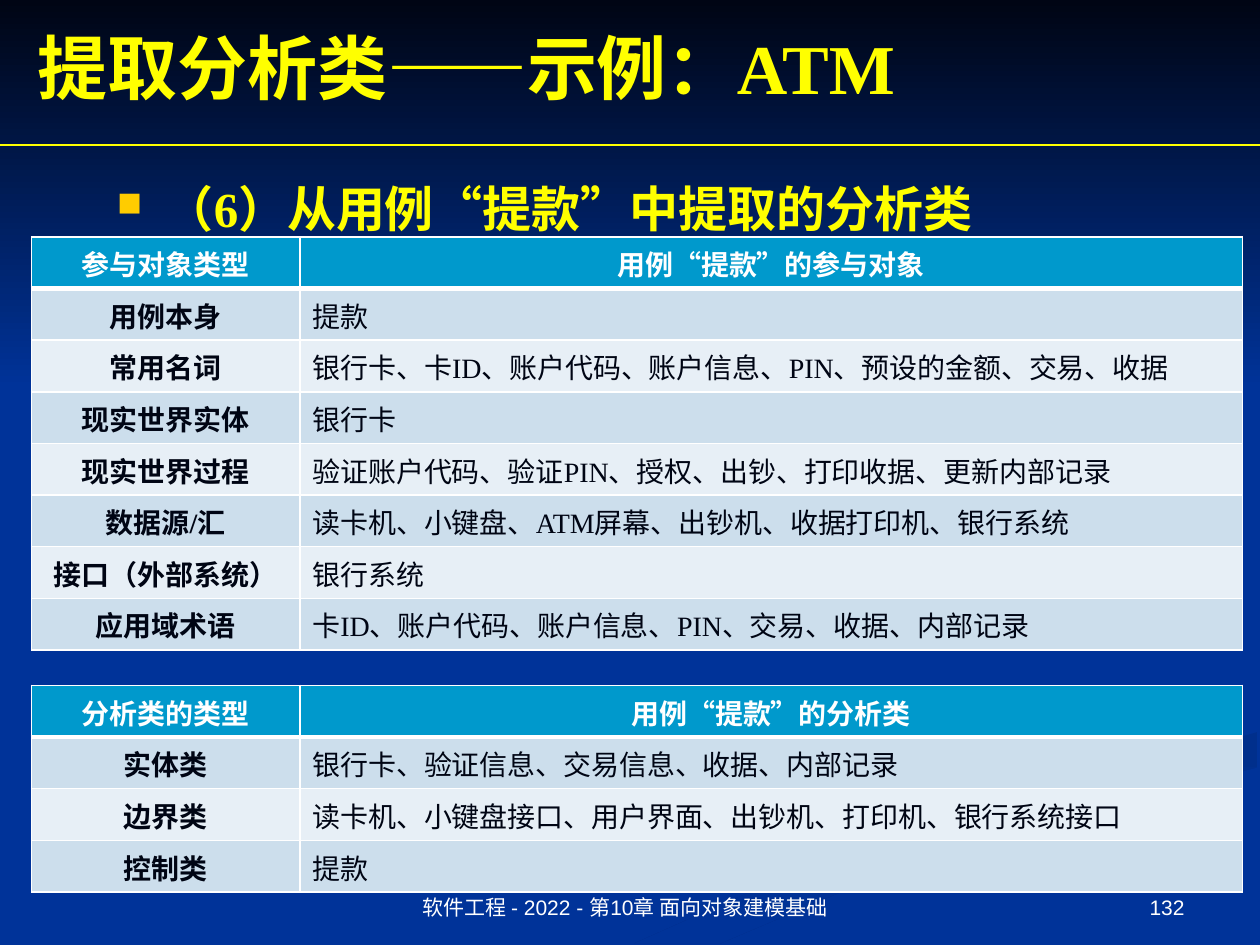
from dataclasses import dataclass

from lxml.etree import SubElement
from pptx import Presentation
from pptx.dml.color import RGBColor
from pptx.enum.shapes import MSO_CONNECTOR, MSO_SHAPE
from pptx.enum.text import MSO_ANCHOR, PP_ALIGN
from pptx.oxml import parse_xml
from pptx.oxml.ns import nsdecls, qn
from pptx.util import Inches, Pt


@dataclass(frozen=True)
class Theme:
    blue: str = "003399"
    deep_blue: str = "002F8C"
    navy: str = "000514"
    yellow: str = "FFFF00"
    gold: str = "FFCC00"
    white: str = "FFFFFF"
    header: str = "0099CC"
    bands: tuple = ("CCDEEC", "E7EFF6")
    serif: str = "Times New Roman"
    sans: str = "Arial"
    title: int = 40
    body: int = 28
    cell: int = 16
    footer: int = 12


T = Theme()


def add_run(p, text, size, color, font=T.serif, bold=False):
    r = p.add_run()
    r.text = text
    r.font.size, r.font.name, r.font.bold = Pt(size), font, bold
    r.font.color.rgb = RGBColor.from_string(color)


def add_text(box, anchor, align, *run):
    """Add a wrapped one-paragraph text box and return the paragraph."""
    tf = s.shapes.add_textbox(*map(Inches, box)).text_frame
    tf.word_wrap = True
    tf.vertical_anchor = anchor
    p = tf.paragraphs[0]
    p.alignment = align
    add_run(p, *run)
    return p


prs = Presentation()
prs.slide_width, prs.slide_height = Inches(10), Inches(7.5)
s = prs.slides.add_slide(prs.slide_layouts[6])
s.background.fill.solid()
s.background.fill.fore_color.rgb = RGBColor.from_string(T.blue)

# Background: a faint wave at the lower right and the dark band at the top
wave = [(5.03, 7.49), (5.71, 7.49), (7.52, 6.72), (9.98, 6.09), (9.98, 5.81), (7.64, 6.47), (6, 7.06)]
points = [(Inches(x), Inches(y)) for x, y in wave]
builder = s.shapes.build_freeform(*points[0])
builder.add_line_segments(points[1:], close=True)
wave_shape = builder.convert_to_shape()
band = s.shapes.add_shape(MSO_SHAPE.RECTANGLE, 0, 0, Inches(10), Inches(3.08))
for sp, start in ((wave_shape, T.deep_blue), (band, T.navy)):
    sp.shadow.inherit = False
    sp.line.fill.background()
    sp.fill.gradient()
    sp.fill.gradient_angle = 270
    for position, (stop, color) in enumerate(zip(sp.fill.gradient_stops, (start, T.blue))):
        stop.position = position
        stop.color.rgb = RGBColor.from_string(color)

# Title, rule, heading and footer
add_text((0.2, 0.14, 9, 0.77), MSO_ANCHOR.MIDDLE, PP_ALIGN.LEFT,
         "提取分析类——示例：ATM", T.title, T.yellow, T.serif, True)

rule = s.shapes.add_connector(MSO_CONNECTOR.STRAIGHT, 0, Inches(1.15), Inches(10), Inches(1.15))
rule.line.color.rgb = RGBColor.from_string(T.yellow)
rule.line.width = Pt(0.75)
SubElement(rule._element.spPr, qn("a:effectLst"))

p = add_text((0.83, 1.42, 8.42, 0.75), MSO_ANCHOR.TOP, PP_ALIGN.LEFT,
             "（6）从用例“提款”中提取的分析类", T.body, T.yellow, T.serif, True)
pPr = p._p.get_or_add_pPr()
pPr.set("marL", str(Inches(0.38)))
pPr.set("indent", str(-Inches(0.38)))
SubElement(SubElement(pPr, qn("a:buClr")), qn("a:srgbClr"), val=T.gold)
SubElement(pPr, qn("a:buSzPct"), val="70000")
SubElement(pPr, qn("a:buChar"), char="■")
p.line_spacing = 0.9

add_text((3.11, 6.83, 3.7, 0.52), MSO_ANCHOR.BOTTOM, PP_ALIGN.CENTER,
         "软件工程 - 2022 - 第10章 面向对象建模基础", T.footer, T.white, T.sans)
add_text((7.17, 6.83, 2.33, 0.52), MSO_ANCHOR.BOTTOM, PP_ALIGN.RIGHT,
         "132", T.footer, T.white, T.sans)

# Tables: top edge and rows, the first row being the header
tables = [
    (5.44, [
        ("分析类的类型", "用例“提款”的分析类"),
        ("实体类", "银行卡、验证信息、交易信息、收据、内部记录"),
        ("边界类", "读卡机、小键盘接口、用户界面、出钞机、打印机、银行系统接口"),
        ("控制类", "提款")]),
    (1.88, [
        ("参与对象类型", "用例“提款”的参与对象"),
        ("用例本身", "提款"),
        ("常用名词", "银行卡、卡ID、账户代码、账户信息、PIN、预设的金额、交易、收据"),
        ("现实世界实体", "银行卡"),
        ("现实世界过程", "验证账户代码、验证PIN、授权、出钞、打印收据、更新内部记录"),
        ("数据源/汇", "读卡机、小键盘、ATM屏幕、出钞机、收据打印机、银行系统"),
        ("接口（外部系统）", "银行系统"),
        ("应用域术语", "卡ID、账户代码、账户信息、PIN、交易、收据、内部记录")]),
]
row_height = 0.41
for top, rows in tables:
    table = s.shapes.add_table(len(rows), 2, Inches(0.25), Inches(top), Inches(9.61),
                               Inches(row_height * len(rows))).table
    for column, width in zip(table.columns, (2.13, 7.48)):
        column.width = Inches(width)
    for i, row in enumerate(rows):
        table.rows[i].height = Inches(row_height)
        for j, text in enumerate(row):
            cell = table.cell(i, j)
            strong = i == 0 or j == 0
            cell.vertical_anchor = MSO_ANCHOR.MIDDLE
            cell.fill.solid()
            cell.fill.fore_color.rgb = RGBColor.from_string(T.bands[(i - 1) % 2] if i else T.header)
            p = cell.text_frame.paragraphs[0]
            p.alignment = PP_ALIGN.CENTER if strong else PP_ALIGN.LEFT
            add_run(p, text, T.cell, T.navy if i else T.white, T.serif, strong)
            for k, side in enumerate("LRTB"):
                weight = 3 if (i, side) in ((0, "B"), (1, "T")) else 1
                cell._tc.tcPr.insert(k, parse_xml(
                    f'<a:ln{side} {nsdecls("a")} w="{Pt(weight)}"><a:solidFill>'
                    f'<a:srgbClr val="{T.white}"/></a:solidFill></a:ln{side}>'))

prs.save("out.pptx")
